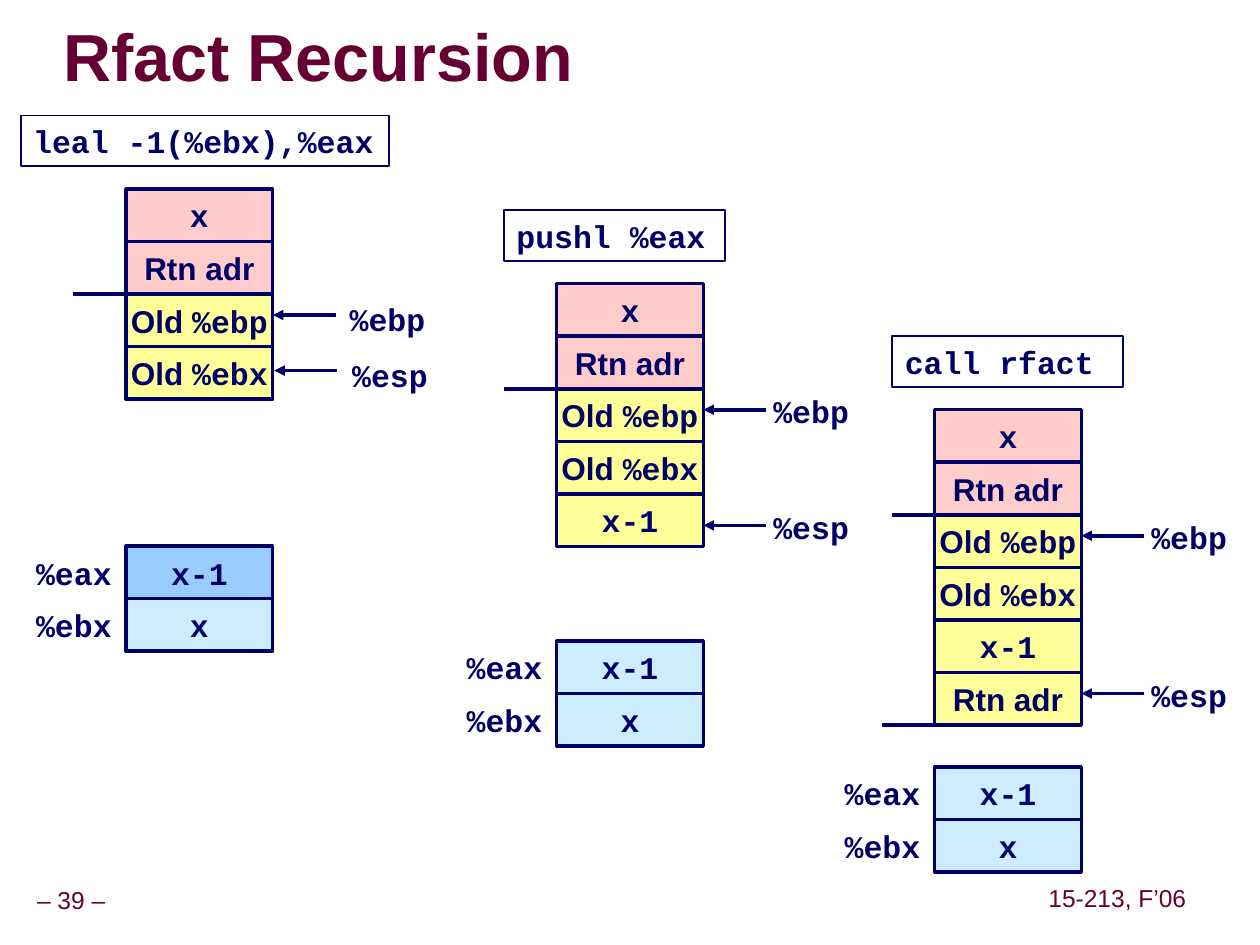
from lxml import etree
from pptx import Presentation
from pptx.dml.color import RGBColor
from pptx.enum.dml import MSO_LINE
from pptx.enum.shapes import MSO_CONNECTOR, MSO_SHAPE
from pptx.enum.text import MSO_ANCHOR as Anchor, MSO_AUTO_SIZE as AutoSize, PP_ALIGN as Align
from pptx.oxml import parse_xml
from pptx.oxml.ns import nsdecls, qn
from pptx.util import Cm, Pt

NAVY = RGBColor(0x00, 0x00, 0x66)
MAROON = RGBColor(0x66, 0x00, 0x33)
PINK = RGBColor(0xFF, 0xCC, 0xCC)
YELLOW = RGBColor(0xFF, 0xFF, 0x99)
PALE_BLUE = RGBColor(0xCC, 0xEC, 0xFF)
BLUE = RGBColor(0x99, 0xCC, 0xFF)
WHITE = RGBColor(0xFF, 0xFF, 0xFF)
SANS, MONO = "Arial", "Courier New"

CELL_WIDTH, ROW_HEIGHT = 2.96, 1.06
LABEL_WIDTH, LABEL_HEIGHT = 2.03, 1.02
REGISTER_DROP, INSTRUCTION_RISE = 7.2, 1.48

ARGUMENT = [("x", MONO)]
RETURN_ADDRESS = [("Rtn adr", SANS)]
OLD_EBP = [("Old ", SANS), ("%ebp", MONO)]
OLD_EBX = [("Old ", SANS), ("%ebx", MONO)]
X_MINUS_1 = [("x-1", MONO)]
FRAME = [(ARGUMENT, PINK), (RETURN_ADDRESS, PINK), (OLD_EBP, YELLOW), (OLD_EBX, YELLOW)]


def write_text(shape, spans, size=18, color=NAVY, bold=True, align=Align.CENTER,
               anchor=Anchor.MIDDLE, wrap=False, margins=(0.25, 0.13), spacing=None):
    """Fill a shape with one paragraph of (text, font) spans."""
    frame = shape.text_frame
    frame.auto_size = AutoSize.NONE
    frame.word_wrap = wrap
    frame.vertical_anchor = anchor
    frame.margin_left = frame.margin_right = Cm(margins[0])
    frame.margin_top = frame.margin_bottom = Cm(margins[1])
    para = frame.paragraphs[0]
    para.alignment = align
    if spacing:
        para.line_spacing = spacing
    for text, font in spans:
        span = para.add_run()
        span.text = text
        span.font.name = font
        span.font.size = Pt(size)
        span.font.bold = bold
        span.font.color.rgb = color


def add_box(page, left, top, width, height, spans, fill=None, line=None, **text_format):
    """Add a rectangle with text and an optional fill and outline."""
    box = page.shapes.add_shape(MSO_SHAPE.RECTANGLE, Cm(left), Cm(top), Cm(width), Cm(height))
    box.shadow.inherit = False
    if fill is None:
        box.fill.background()
    else:
        box.fill.solid()
        box.fill.fore_color.rgb = fill
    if line is None:
        box.line.fill.background()
    else:
        box.line.color.rgb = NAVY
        box.line.width = Pt(line)
    write_text(box, spans, **text_format)


def add_label(page, left, top, width, height, spans, **text_format):
    """Add a plain text box."""
    label = page.shapes.add_textbox(Cm(left), Cm(top), Cm(width), Cm(height))
    write_text(label, spans, **text_format)


def add_line(page, start, end, y, arrow=False):
    """Draw a horizontal line, with an arrowhead at its end if asked."""
    line = page.shapes.add_connector(MSO_CONNECTOR.STRAIGHT, Cm(start), Cm(y), Cm(end), Cm(y))
    line.line.color.rgb = NAVY
    line.line.width = Pt(2)
    line.line.dash_style = MSO_LINE.SOLID
    if arrow:
        head = etree.SubElement(line.line._get_or_add_ln(), qn("a:tailEnd"))
        head.set("type", "triangle")
    etree.SubElement(line._element.spPr, qn("a:effectLst"))


def add_instruction(page, left, top, width, text):
    """Add the outlined instruction above a stack."""
    add_box(page, left, top, width, LABEL_HEIGHT, [(text, MONO)], line=1,
            align=Align.LEFT, anchor=Anchor.TOP, wrap=True)


def add_stack(page, left, top, cells):
    """Pile the cells of a stack downwards from its top."""
    for row, (spans, fill) in enumerate(cells):
        add_box(page, left, top + row * ROW_HEIGHT, CELL_WIDTH, ROW_HEIGHT, spans, fill, line=2)


def add_pointer(page, right, top, name, drop, gap=0, label_gap=1.16, label_rise=0.48):
    """Point a named register at the right side of a stack."""
    y = top + drop
    add_line(page, right + gap + 1.27, right + gap, y, arrow=True)
    add_label(page, right + label_gap, y - label_rise, LABEL_WIDTH, LABEL_HEIGHT,
              [(name, MONO)], align=Align.LEFT, anchor=Anchor.TOP)


def add_registers(page, left, top, eax_fill):
    """Show the values of %eax and %ebx with their names on the left."""
    rows = [("%eax", X_MINUS_1, eax_fill), ("%ebx", ARGUMENT, PALE_BLUE)]
    for row, (name, value, fill) in enumerate(rows):
        y = top + row * ROW_HEIGHT
        add_box(page, left - 1.9, y, 1.7, ROW_HEIGHT, [(name, MONO)], WHITE)
        add_box(page, left, y, CELL_WIDTH, ROW_HEIGHT, value, fill, line=2)


def add_step(page, left, top, instruction, shift, width, cells, pointers, marks,
             eax_fill=PALE_BLUE):
    """Place one step: instruction, stack, frame marks, pointers and registers."""
    add_instruction(page, left + shift, top - INSTRUCTION_RISE, width, instruction)
    add_stack(page, left, top, cells)
    for row, offset in marks:
        add_line(page, left + offset, left + offset + 1.06, top + row * ROW_HEIGHT)
    for pointer in pointers:
        add_pointer(page, left + CELL_WIDTH, top, **pointer)
    add_registers(page, left, top + REGISTER_DROP, eax_fill)


def add_title(page, text):
    """Move and format the title placeholder, with a grey text shadow."""
    title = page.shapes.title
    title.left, title.top, title.width, title.height = Cm(1.27), Cm(0.43), Cm(16.03), Cm(1.6)
    write_text(title, [(text, SANS)], size=38, color=MAROON, align=Align.LEFT,
               wrap=True, margins=(0, 0), spacing=0.87)
    shadow = parse_xml(
        f'<a:effectLst {nsdecls("a")}><a:outerShdw dist="53882" dir="2700000">'
        '<a:srgbClr val="969696"/></a:outerShdw></a:effectLst>')
    run_format = title.text_frame.paragraphs[0].runs[0]._r.get_or_add_rPr()
    run_format.find(qn("a:solidFill")).addnext(shadow)


def add_footer(page):
    """Add the page number and the course name."""
    for left, top, width, text in [(0, 17.78, 2.87, "– 39 –"), (21, 17.75, 3.05, "15-213, F’06")]:
        add_label(page, left, top, width, 0.79, [(text, SANS)], size=14, color=MAROON,
                  bold=False, margins=(0.13, 0.13), spacing=0.9)


def main():
    """Build the slide and save it."""
    deck = Presentation()
    deck.slide_width, deck.slide_height = Cm(25.4), Cm(19.05)
    page = deck.slides.add_slide(deck.slide_layouts[5])
    add_title(page, "Rfact Recursion")
    ebp = dict(name="%ebp", drop=2.54)
    add_step(page, 2.54, 3.81, "leal -1(%ebx),%eax", -2.12, 7.42, FRAME,
             [dict(ebp, label_gap=1.3, label_rise=0.43),
              dict(name="%esp", drop=3.66, gap=0.03, label_gap=1.35, label_rise=0.43)],
             [(2, -1.06)], eax_fill=BLUE)
    pushed = FRAME + [(X_MINUS_1, YELLOW)]
    add_step(page, 11.22, 5.72, "pushl %eax", -1.06, 4.45, pushed,
             [ebp, dict(name="%esp", drop=4.87)], [(2, -1.06)])
    called = pushed + [(RETURN_ADDRESS, YELLOW)]
    add_step(page, 18.84, 8.26, "call rfact", -0.85, 4.65, called,
             [ebp, dict(name="%esp", drop=5.72)], [(2, -0.85), (6, -1.06)])
    add_footer(page)
    deck.save("out.pptx")


if __name__ == "__main__":
    main()
